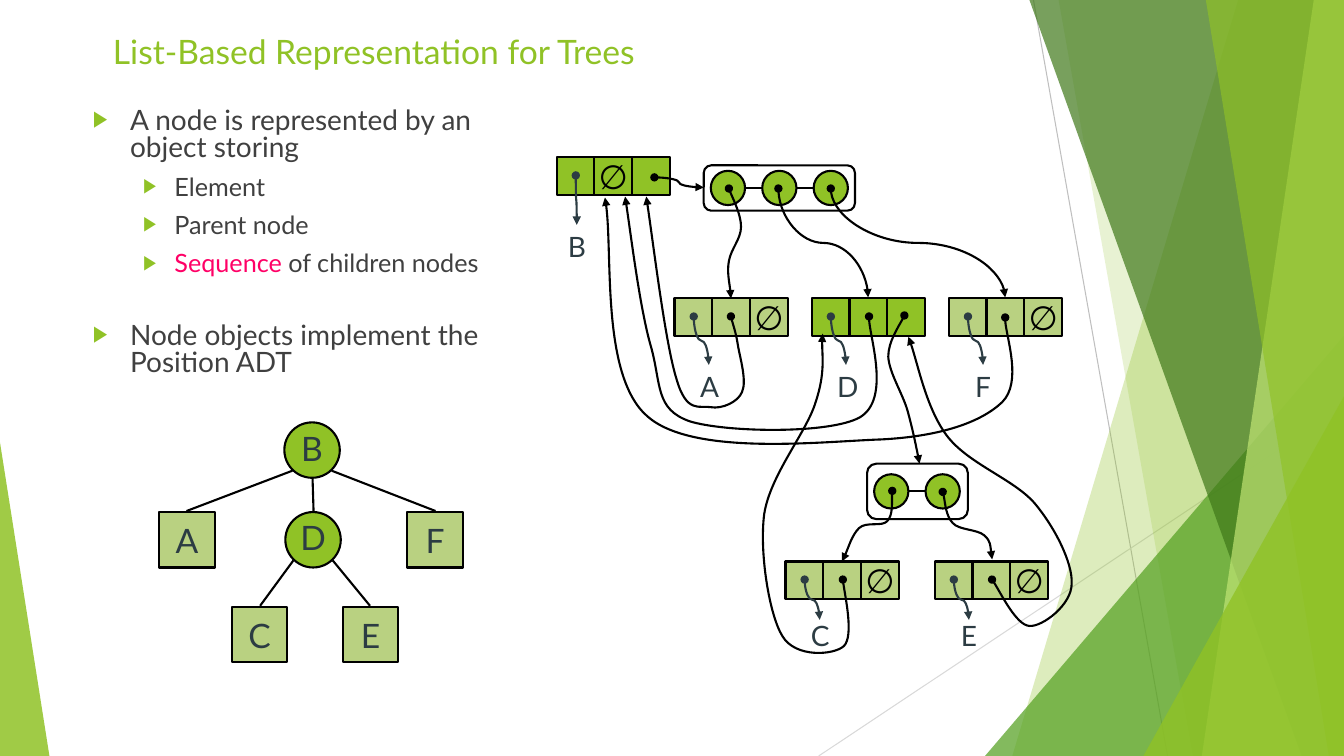
from dataclasses import dataclass

from lxml.etree import SubElement
from pptx import Presentation
from pptx.dml.color import RGBColor
from pptx.enum.shapes import MSO_CONNECTOR as LINK, MSO_SHAPE as SHAPE
from pptx.enum.text import MSO_ANCHOR as ANCHOR, MSO_AUTO_SIZE as FIT, PP_ALIGN as ALIGN
from pptx.oxml.ns import qn
from pptx.util import Cm, Pt


@dataclass(frozen=True)
class Theme:
    font: str = "Lato"
    green: str = "90C226"
    pale: str = "B9D181"
    ink: str = "2C3C43"
    body: str = "404040"
    accent: str = "FF0066"
    black: str = "000000"
    title_size: int = 24
    point_size: int = 20
    detail_size: int = 18
    stroke: float = 1.5


@dataclass(frozen=True)
class Record:
    """A node object: three cells, with a pointer down to its element."""
    label: str
    x: float
    y: float
    fill: str
    null_cell: int | None
    tip_dx: float = 0.34
    tip_dy: float = 0.66
    label_dy: float = 0.66


THEME = Theme()
WIDTH, HEIGHT = 13.33, 7.5
CELL = 0.375
NODE = 0.55
BEAD = 0.34

# (top x, bottom x, colour, opacity %) of the panels that reach the right edge
BACK_PANELS = [(12.28, 10.04, "90C226", 30), (10.5, 11.83, "90C226", 20)]
FRONT_PANELS = [(10.21, 12.91, "3F7819", 70), (13.03, 11.92, "C0E474", 70),
                (11.96, 13.18, "90C226", 65)]

TREE_NODES = [("B", 2.82, 4.19, True), ("D", 2.83, 5.08, True), ("A", 1.58, 5.08, False),
              ("F", 4.04, 5.08, False), ("C", 2.3, 6.02, False), ("E", 3.4, 6.02, False)]
TREE_EDGES = [(3.67, 6.01, 3.3, 5.56), (2.58, 6.01, 2.91, 5.56), (1.85, 5.07, 2.9, 4.67),
              (3.11, 5.07, 3.1, 4.75), (4.32, 5.07, 3.29, 4.67)]

RECORDS = [
    Record("B", 5.52, 1.56, THEME.green, 1, 0.2, 0.67, 0.67),
    Record("A", 6.69, 2.96, THEME.pale, 2),
    Record("D", 8.05, 2.96, THEME.green, None),
    Record("F", 9.41, 2.96, THEME.pale, 2),
    Record("C", 7.79, 5.57, THEME.pale, 2, tip_dy=0.58, label_dy=0.52),
    Record("E", 9.27, 5.57, THEME.pale, 2, tip_dy=0.58, label_dy=0.52),
]

# Start point, then three points for each Bézier segment
PARENT_POINTERS = [
    [(7.25, 3.14), (7.26, 3.19), (7.3, 3.3), (7.32, 3.43), (7.34, 3.55), (7.41, 3.78),
     (7.36, 3.89), (7.32, 3.99), (7.16, 4.06), (7.05, 4.04), (6.94, 4.02), (6.81, 4.11),
     (6.71, 3.76), (6.6, 3.41), (6.47, 2.33), (6.41, 1.95)],
    [(8.62, 3.14), (8.61, 3.3), (8.83, 3.96), (8.53, 4.14), (8.23, 4.31), (7.19, 4.29),
     (6.84, 4.18), (6.5, 4.06), (6.56, 3.82), (6.46, 3.45), (6.35, 3.08), (6.25, 2.26),
     (6.2, 1.95)],
    [(9.97, 3.15), (9.96, 3.29), (10.14, 3.79), (9.94, 3.99), (9.73, 4.19), (9.33, 4.33),
     (8.74, 4.36), (8.15, 4.38), (6.87, 4.53), (6.42, 4.13), (5.96, 3.73), (6.09, 2.41),
     (6, 1.96)],
    [(8.36, 5.75), (8.37, 5.86), (8.47, 6.31), (8.37, 6.41), (8.27, 6.5), (7.89, 6.53),
     (7.76, 6.31), (7.63, 6.1), (7.53, 5.48), (7.58, 5.1), (7.64, 4.71), (8, 4.29),
     (8.09, 3.99), (8.19, 3.69), (8.14, 3.45), (8.16, 3.31)],
    [(9.84, 5.75), (9.9, 5.83), (10.08, 6.2), (10.21, 6.21), (10.34, 6.22), (10.63, 6),
     (10.63, 5.79), (10.64, 5.59), (10.47, 5.24), (10.26, 4.99), (10.05, 4.75), (9.6, 4.6),
     (9.39, 4.32), (9.19, 4.05), (9.09, 3.54), (9.01, 3.34)],
]
CHILD_POINTERS = [
    [(8.97, 3.13), (8.94, 3.2), (8.81, 3.39), (8.81, 3.54), (8.82, 3.7), (8.95, 3.9),
     (9, 4.07), (9.05, 4.25), (9.1, 4.49), (9.12, 4.6)],
    [(9.35, 4.88), (9.37, 4.93), (9.38, 5.12), (9.45, 5.19), (9.51, 5.26), (9.69, 5.25),
     (9.76, 5.31), (9.83, 5.37), (9.83, 5.5), (9.84, 5.55)],
    [(8.85, 4.87), (8.84, 4.92), (8.86, 5.11), (8.8, 5.17), (8.75, 5.23), (8.59, 5.17),
     (8.52, 5.24), (8.45, 5.31), (8.39, 5.51), (8.35, 5.57)],
    [(7.23, 1.87), (7.25, 1.93), (7.35, 2.13), (7.35, 2.25), (7.35, 2.37), (7.25, 2.47),
     (7.23, 2.59), (7.21, 2.7), (7.25, 2.88), (7.25, 2.96)],
]


def units(*values):
    """Turn slide grid steps of 2.54 cm into lengths."""
    return [Cm(value * 2.54) for value in values]


def rgb(color):
    return RGBColor.from_string(color)


def style_font(font, size, color):
    font.name, font.size = THEME.font, Pt(size)
    font.color.rgb = rgb(color)


def paint(shape, fill=None, line=None, opacity=100):
    shape.shadow.inherit = False
    if fill:
        shape.fill.solid()
        shape.fill.fore_color.rgb = rgb(fill)
        if opacity < 100:
            color = shape.fill._xPr.find(".//" + qn("a:srgbClr"))
            SubElement(color, qn("a:alpha"), val=str(opacity * 1000))
    else:
        shape.fill.background()
    if line:
        shape.line.color.rgb = rgb(line)
        shape.line.width = Pt(THEME.stroke)
    else:
        shape.line.fill.background()


def add_figure(shapes, kind, box, fill=None, line=THEME.black, opacity=100, adjust=None):
    figure = shapes.add_shape(kind, *units(*box))
    if adjust is not None:
        figure.adjustments[0] = adjust
    paint(figure, fill, line, opacity)
    return figure


def write_centred(shape, text, size, color):
    frame = shape.text_frame
    frame.word_wrap = False
    frame.text = text
    frame.paragraphs[0].alignment = ALIGN.CENTER
    style_font(frame.paragraphs[0].font, size, color)
    return frame


def add_line(shapes, ends, color=THEME.black, width=THEME.stroke, kind=LINK.STRAIGHT):
    line = shapes.add_connector(kind, *units(*ends))
    line.line.color.rgb = rgb(color)
    line.line.width = Pt(width)
    SubElement(line._element.spPr, qn("a:effectLst"))
    return line


def add_pointer_ends(shape):
    outline = shape._element.spPr.find(qn("a:ln"))
    SubElement(outline, qn("a:headEnd"), type="oval")
    SubElement(outline, qn("a:tailEnd"), type="triangle")


def add_drop(shapes, x1, y1, x2, y2, color=THEME.black):
    """Add an S-curved pointer that leaves and arrives vertically."""
    mid_x, mid_y, half_w, half_h = (x1 + x2) / 2, (y1 + y2) / 2, (y2 - y1) / 2, (x2 - x1) / 2
    ends = (mid_x + half_w, mid_y - half_h, mid_x - half_w, mid_y + half_h)
    drop = add_line(shapes, ends, color, kind=LINK.CURVE)
    drop._element.spPr.find(qn("a:xfrm")).set("rot", str(270 * 60000))
    add_pointer_ends(drop)


def add_outline(shapes, points, close):
    start, *rest = [units(*point) for point in points]
    builder = shapes.build_freeform(*start, scale=1.0)
    builder.add_line_segments(rest, close=close)
    return builder.convert_to_shape()


def add_bezier_pointer(shapes, points):
    pointer = add_outline(shapes, points, close=False)
    trace = pointer._element.spPr.find(".//" + qn("a:path"))
    steps = iter(trace.findall(qn("a:lnTo")))
    for segment in zip(steps, steps, steps):
        bezier = SubElement(trace, qn("a:cubicBezTo"))
        for step in segment:
            bezier.append(step[0])
            trace.remove(step)
    paint(pointer, line=THEME.black)
    add_pointer_ends(pointer)


def add_panels(shapes, panels):
    for top_x, bottom_x, color, opacity in panels:
        corners = [(top_x, 0), (WIDTH, 0), (WIDTH, HEIGHT), (bottom_x, HEIGHT)]
        paint(add_outline(shapes, corners, close=True), color, opacity=opacity)


def add_backdrop(shapes):
    add_line(shapes, (10.25, 0, 11.58, HEIGHT), "BFBFBF", 0.75)
    add_line(shapes, (WIDTH, 4.03, 8.12, HEIGHT), "D9D9D9", 0.75)
    triangle = SHAPE.ISOSCELES_TRIANGLE
    add_panels(shapes, BACK_PANELS)
    add_figure(shapes, triangle, (9.77, 3.33, 3.56, 4.17), "54A021", None, 72, adjust=1)
    add_panels(shapes, FRONT_PANELS)
    add_figure(shapes, triangle, (11.34, 3.93, 1.99, 3.57), THEME.green, None, 80, adjust=1)
    add_figure(shapes, triangle, (0, 4.39, 0.49, 3.11), THEME.green, None, 85, adjust=0)


def place(holder, box, anchor):
    holder.left, holder.top, holder.width, holder.height = units(*box)
    frame = holder.text_frame
    frame.auto_size, frame.vertical_anchor, frame.word_wrap = FIT.NONE, anchor, True
    return frame


def fill_title(holder):
    frame = place(holder, (1.02, 0.22, 7.22, 0.58), ANCHOR.MIDDLE)
    frame.text = "List-Based Representation for Trees"
    frame.paragraphs[0].alignment = ALIGN.LEFT
    style_font(frame.paragraphs[0].font, THEME.title_size, THEME.green)


def fill_points(holder):
    frame = place(holder, (0.82, 1.03, 4.33, 2.83), ANCHOR.TOP)
    points = [(0, 0, ["A node is represented by an object storing"]), (1, 10, ["Element"]),
              (1, 10, ["Parent node"]), (1, 10, ["Sequence", " of children nodes"]),
              (0, 33.5, ["Node objects implement the Position ADT"])]
    for index, (level, before, parts) in enumerate(points):
        point = frame.add_paragraph() if index else frame.paragraphs[0]
        point.level = level
        props = point._p.get_or_add_pPr()
        margin, hang = units(*((0.81, 0.31) if level else (0.37, 0.37)))
        props.set("marL", str(margin))
        props.set("indent", str(-hang))
        SubElement(SubElement(props, qn("a:buClr")), qn("a:srgbClr"), val=THEME.green)
        SubElement(props, qn("a:buSzPct"), val="80000")
        SubElement(props, qn("a:buChar"), char="▶")
        point.line_spacing, point.space_before = 0.8, Pt(before)
        style_font(point.font, THEME.detail_size if level else THEME.point_size, THEME.body)
        for part in parts:
            point.add_run().text = part
        if len(parts) > 1:
            point.runs[0].font.color.rgb = rgb(THEME.accent)


def add_tree(shapes):
    for ends in TREE_EDGES:
        add_line(shapes, ends)
    for label, x, y, inner in TREE_NODES:
        kind, fill = (SHAPE.OVAL, THEME.green) if inner else (SHAPE.RECTANGLE, THEME.pale)
        node = add_figure(shapes, kind, (x, y, NODE, NODE), fill)
        frame = write_centred(node, label, THEME.title_size, THEME.ink)
        if inner:
            frame.margin_left = frame.margin_right = frame.margin_top = 0


def add_record(shapes, record):
    for index in range(3):
        box = (record.x + index * CELL, record.y, CELL, CELL)
        cell = add_figure(shapes, SHAPE.RECTANGLE, box, record.fill)
        if index == record.null_cell:
            write_centred(cell, "∅", THEME.title_size, THEME.black)
    tip_x = record.x + record.tip_dx
    add_drop(shapes, record.x + 0.19, record.y + 0.18, tip_x, record.y + record.tip_dy, THEME.ink)
    label = shapes.add_textbox(*units(tip_x - 0.185, record.y + record.label_dy, 0.37, 0.44))
    write_centred(label, record.label, THEME.point_size, THEME.ink)


def add_sequence(shapes, box, bead_count):
    """Add a rounded frame with a row of linked beads."""
    x, y, width, height = box
    add_figure(shapes, SHAPE.ROUNDED_RECTANGLE, box, adjust=0.167)
    middle = y + height / 2
    add_line(shapes, (x + 0.42, middle, x + width - 0.42, middle))
    for index in range(bead_count):
        bead = (x + 0.07 + index * 0.51, middle - BEAD / 2, BEAD, BEAD)
        add_figure(shapes, SHAPE.OVAL, bead, THEME.green)


def add_linked_structure(shapes):
    add_sequence(shapes, (6.98, 1.64, 1.5, 0.45), 3)
    add_sequence(shapes, (8.6, 4.6, 1, 0.55), 2)
    for record in RECORDS:
        add_record(shapes, record)
    add_pointer_ends(add_line(shapes, (6.49, 1.76, 6.98, 1.86), kind=LINK.CURVE))
    add_drop(shapes, 7.72, 1.87, 8.61, 2.95)
    add_drop(shapes, 8.24, 1.87, 9.97, 2.95)
    for points in PARENT_POINTERS + CHILD_POINTERS:
        add_bezier_pointer(shapes, points)


def main():
    deck = Presentation()
    deck.slide_width, deck.slide_height = units(WIDTH, HEIGHT)
    slide = deck.slides.add_slide(deck.slide_layouts[1])
    title, points = slide.placeholders
    add_backdrop(slide.shapes.add_group_shape().shapes)
    fill_title(title)
    fill_points(points)
    add_tree(slide.shapes)
    add_linked_structure(slide.shapes.add_group_shape().shapes)
    deck.save("out.pptx")


if __name__ == "__main__":
    main()
